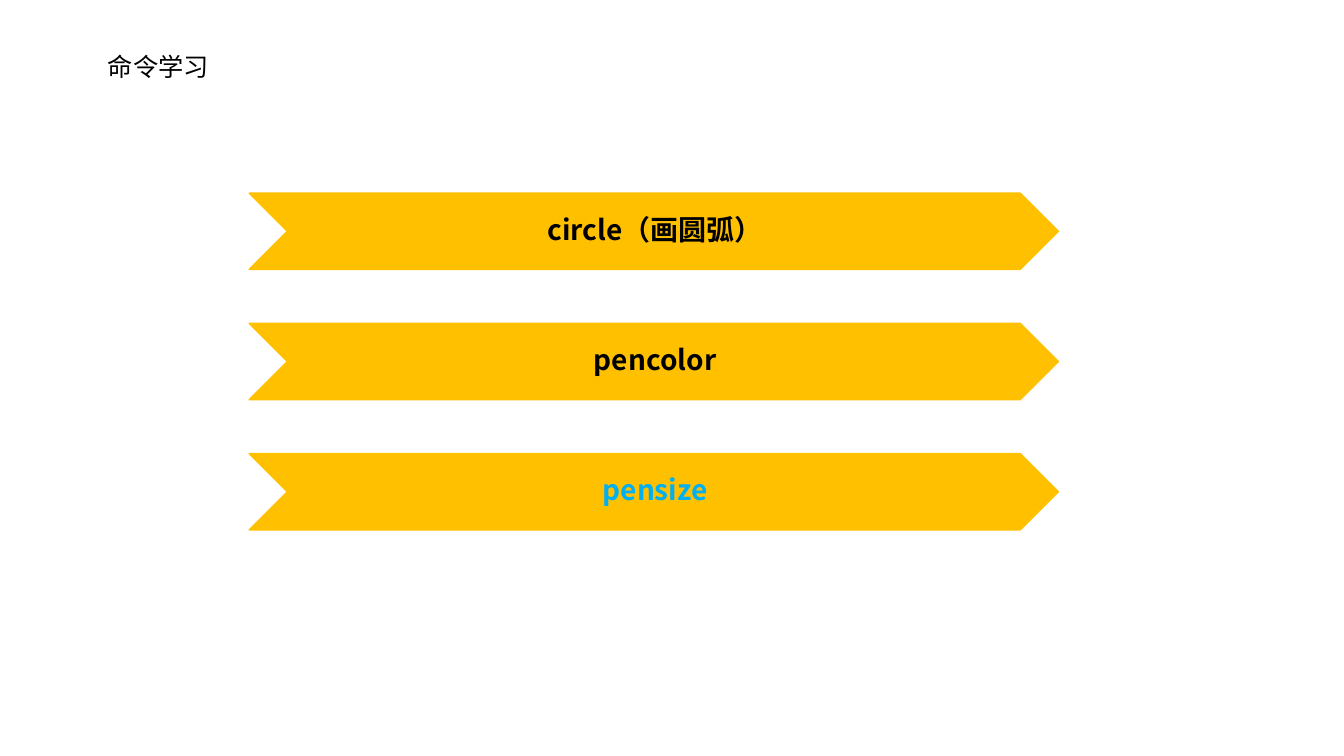
from lxml import etree
from pptx import Presentation
from pptx import util as u
from pptx.dml.color import RGBColor
from pptx.enum import shapes, text
from pptx.oxml import ns

AMBER = RGBColor(0xFF, 0xC0, 0x00)
BLACK = RGBColor(0x00, 0x00, 0x00)
BLUE = RGBColor(0x00, 0xB0, 0xF0)


class SlideBuilder:
    """Holds the font and the current slide."""

    def __init__(self, page, font_name):
        self.page = page
        self.font_name = font_name

    def text_box(self, left, top, width, height, content, size, color, bold=False):
        box = self.page.shapes.add_textbox(
            u.Pt(left), u.Pt(top), u.Pt(width), u.Pt(height))
        box.text_frame.word_wrap = True
        para = box.text_frame.paragraphs[0]
        para.text = content
        font = para.font
        font.name = self.font_name
        font.size = u.Pt(size)
        font.bold = bold
        font.color.rgb = color
        # East Asian typeface, placed after the Latin one
        latin = font._element.find(ns.qn("a:latin"))
        east_asian = etree.Element(ns.qn("a:ea"), typeface=self.font_name)
        latin.addnext(east_asian)
        return box

    def title(self, left, top, width, height, content):
        box = self.text_box(left, top, width, height, content, 18, BLACK)
        box.text_frame.auto_size = text.MSO_AUTO_SIZE.SHAPE_TO_FIT_TEXT

    def chevron(self, left, top, width, height):
        shape = self.page.shapes.add_shape(
            shapes.MSO_SHAPE.CHEVRON,
            u.Pt(left), u.Pt(top), u.Pt(width), u.Pt(height))
        shape.shadow.inherit = False
        shape.fill.solid()
        shape.fill.fore_color.rgb = AMBER
        shape.line.color.rgb = AMBER
        shape.line.width = u.Pt(1)

    def command(self, left, top, width, height, content, color):
        self.chevron(left, top, width, height)
        # The label spans the chevron between its notch and its point
        inset = height / 2
        box = self.text_box(left + inset, top, width - height, height,
                            content, 20, color, bold=True)
        frame = box.text_frame
        frame.vertical_anchor = text.MSO_ANCHOR.MIDDLE
        frame.margin_left = u.Pt(2)
        frame.margin_right = u.Pt(0)
        frame.margin_top = frame.margin_bottom = u.Pt(1)
        para = frame.paragraphs[0]
        para.alignment = text.PP_ALIGN.CENTER
        para.line_spacing = 0.9
        para.space_after = u.Pt(7)


def main():
    deck = Presentation()
    deck.slide_width, deck.slide_height = u.Pt(960), u.Pt(540)
    page = deck.slides.add_slide(deck.slide_layouts[6])
    builder = SlideBuilder(page, "Noto Sans CJK SC")

    # Heading
    builder.title(70, 33, 294, 29, "命令学习")

    # Commands, evenly stacked
    commands = [("circle（画圆弧）", BLACK), ("pencolor", BLACK), ("pensize", BLUE)]
    for row, (name, color) in enumerate(commands):
        builder.command(178, 138 + 93 * row, 578, 54.5, name, color)

    deck.save("out.pptx")


if __name__ == "__main__":
    main()
